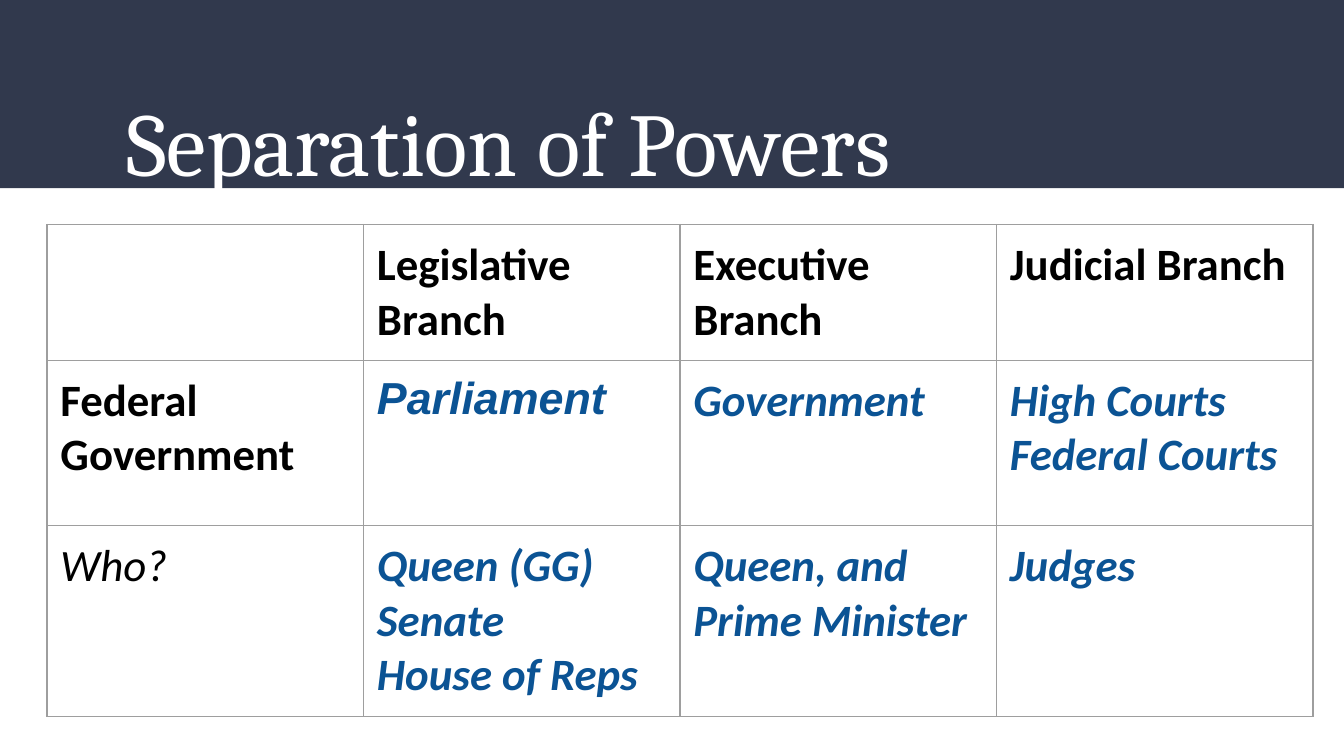
from lxml import etree
from pptx import Presentation
from pptx.dml.color import RGBColor
from pptx.enum import shapes, text
from pptx.oxml.ns import qn
from pptx.util import Emu, Inches, Pt

NAVY, WHITE, BLACK, BLUE, GREY = "31394D", "FFFFFF", "000000", "0B5394", "9E9E9E"
INSET = Inches(0.1)
HEADING = dict(bold=True)
ANSWER = dict(bold=True, italic=True, color=BLUE)
QUESTION = dict(italic=True)

# Each cell holds its lines and their format.
POWERS = [
    [([], {}), (["Legislative Branch"], HEADING),
     (["Executive Branch"], HEADING), (["Judicial Branch"], HEADING)],
    [(["Federal Government"], HEADING), (["Parliament"], {**ANSWER, "font": "Arial"}),
     (["Government"], ANSWER), (["High Courts", "Federal Courts"], ANSWER)],
    [(["Who?"], QUESTION), (["Queen (GG)", "Senate", "House of Reps"], ANSWER),
     (["Queen, and Prime Minister"], ANSWER), (["Judges"], ANSWER)],
]


def rgb(value):
    return RGBColor.from_string(value)


def write(frame, lines, font="Calibri", size=24, color=BLACK, bold=False,
          italic=False, indent=0):
    frame.word_wrap = True
    for index, line in enumerate(lines):
        paragraph = frame.add_paragraph() if index else frame.paragraphs[0]
        if indent:
            properties = paragraph._p.get_or_add_pPr()
            properties.set("marL", str(Inches(indent)))
            properties.set("indent", "0")
        run = paragraph.add_run()
        run.text = line
        run.font.name, run.font.size = font, Pt(size)
        run.font.bold, run.font.italic = bold, italic
        run.font.color.rgb = rgb(color)


def set_insets(box):
    box.margin_left = box.margin_right = box.margin_top = box.margin_bottom = INSET
    box.vertical_anchor = text.MSO_ANCHOR.TOP


def set_borders(cell, color, width):
    properties = cell._tc.get_or_add_tcPr()
    for position, side in enumerate(("lnL", "lnR", "lnT", "lnB")):
        line = etree.Element(qn(f"a:{side}"), w=str(Pt(width)))
        fill = etree.SubElement(line, qn("a:solidFill"))
        etree.SubElement(fill, qn("a:srgbClr"), val=color)
        properties.insert(position, line)


def add_title_band(slide, left, top, width, height):
    band = slide.shapes.add_shape(shapes.MSO_SHAPE.RECTANGLE, left, top, width, height)
    band.shadow.inherit = False
    band.fill.solid()
    band.fill.fore_color.rgb = rgb(NAVY)
    band.line.fill.background()

    margin = Inches(0.34)
    title = slide.shapes.add_textbox(left + margin, top + Inches(0.55),
                                     width - 2 * margin, Inches(0.68))
    set_insets(title.text_frame)
    write(title.text_frame, ["Separation of Powers"], font="Cambria", size=48,
          color=WHITE, indent=0.5)


def add_powers_table(slide, left, top, width, row_heights):
    table = slide.shapes.add_table(len(POWERS), len(POWERS[0]), left, top, width,
                                   sum(row_heights)).table
    table.first_row = table.horz_banding = False
    for column in table.columns:
        column.width = Emu(width // len(table.columns))
    for row, height, contents in zip(table.rows, row_heights, POWERS):
        row.height = height
        for cell, (lines, style) in zip(row.cells, contents):
            set_insets(cell)
            cell.fill.background()
            set_borders(cell, GREY, 0.75)
            write(cell.text_frame, lines, **style)


def main():
    deck = Presentation()
    deck.slide_width = Inches(10)
    deck.slide_height = Emu(deck.slide_width * 9 // 16)
    slide = deck.slides.add_slide(deck.slide_layouts[6])
    add_title_band(slide, 0, 0, deck.slide_width, Inches(1.4))
    add_powers_table(slide, Inches(0.35), Inches(1.67), Inches(9.42),
                     [Inches(1.01), Inches(1.23), Inches(1.42)])
    deck.save("out.pptx")


if __name__ == "__main__":
    main()
